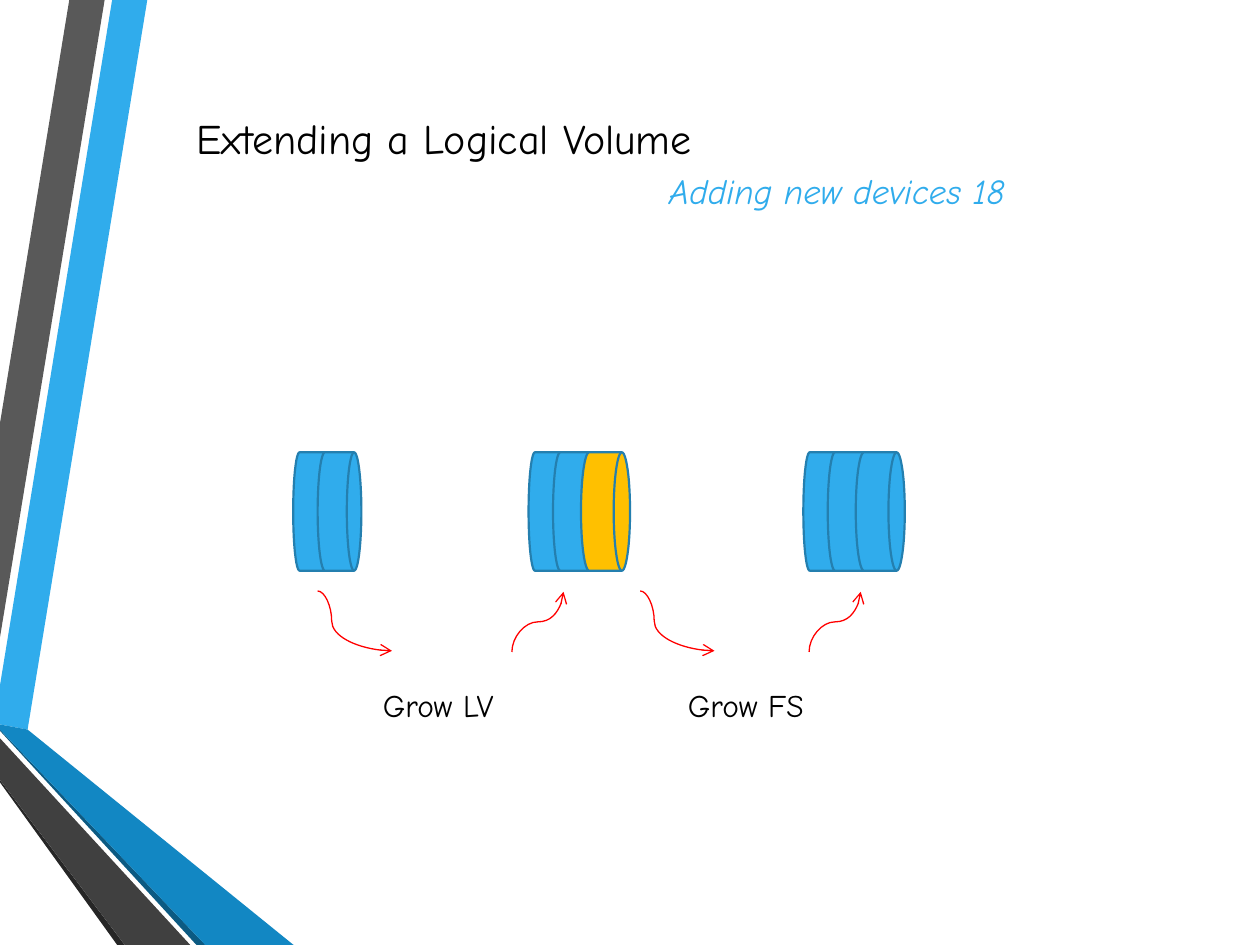
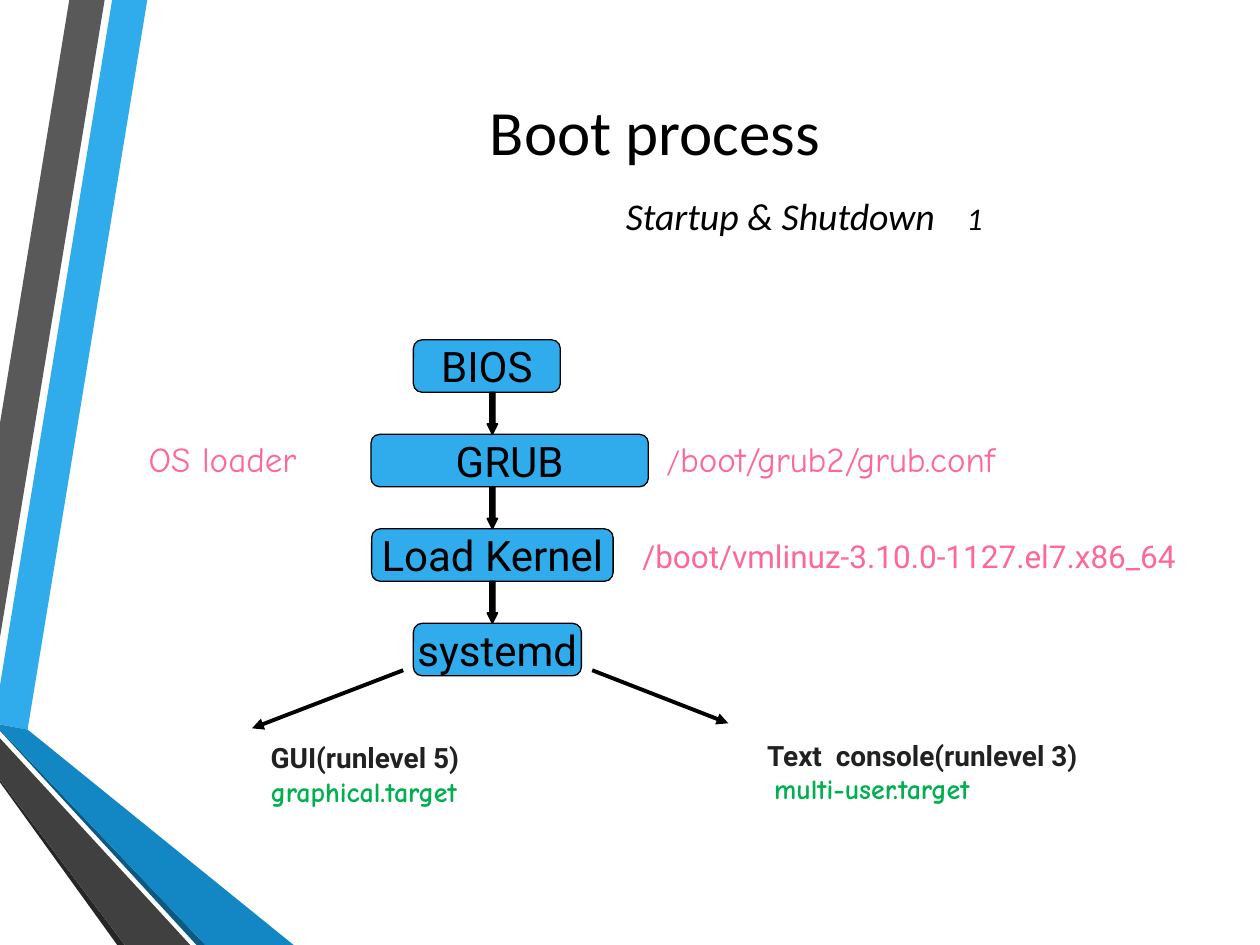
from dataclasses import dataclass

from lxml import etree
from pptx import Presentation
from pptx.dml.color import RGBColor
from pptx.enum.shapes import MSO_CONNECTOR, MSO_SHAPE
from pptx.enum.text import MSO_ANCHOR, MSO_AUTO_SIZE, PP_ALIGN
from pptx.oxml.ns import qn
from pptx.util import Pt

LEFT, CENTER = PP_ALIGN.LEFT, PP_ALIGN.CENTER
TOP, MIDDLE = MSO_ANCHOR.TOP, MSO_ANCHOR.MIDDLE
NO_FIT = MSO_AUTO_SIZE.NONE
DISK, ROUNDED, DOWN_ARROW = (MSO_SHAPE.FLOWCHART_MAGNETIC_DISK,
                             MSO_SHAPE.ROUNDED_RECTANGLE, MSO_SHAPE.DOWN_ARROW)
STRAIGHT, CURVE = MSO_CONNECTOR.STRAIGHT, MSO_CONNECTOR.CURVE


@dataclass(frozen=True)
class Theme:
    blue: str = "30ACEC"
    blue_edge: str = "247FAF"
    blue_dark: str = "1287C3"
    blue_deep: str = "0C5A82"
    gray: str = "595959"
    gray_dark: str = "404040"
    gray_deep: str = "262626"
    black: str = "000000"
    ink: str = "212121"
    red: str = "FF0000"
    yellow: str = "FFC000"
    pink: str = "FF6699"
    green: str = "00B050"
    hand: str = "Comic Neue"
    sans: str = "Roboto"
    plain: str = "Calibri"
    big: float = 36
    heading: float = 24
    subheading: float = 21.6
    note: float = 20
    label: float = 18
    small: float = 16


T = Theme()

# Page-edge bands as outlines in points, back to front
BANDS = [
    (T.blue, [(0, 391.7), (0, 414), (15.8, 416.9), (84.2, 0), (64.1, 0)]),
    (T.gray, [(59.8, 0), (39.6, 0), (0, 241.9), (0, 364.3)]),
    (T.gray_deep, [(0, 445.7), (0, 447.1), (67, 540), (71.3, 540)]),
    (T.blue_deep, [(0, 416.9), (0, 417.6), (112.3, 540), (117.4, 540)]),
    (T.blue_dark, [(0, 416.9), (117.4, 540), (167.8, 540), (15.8, 416.9), (0, 414)]),
    (T.gray_dark, [(0, 445.7), (71.3, 540), (108.7, 540), (0, 421.9)]),
]


def rgb(color):
    return RGBColor.from_string(color)


def add_text(frame, text, size=T.label, font=T.hand, color=T.black, bold=False,
             italic=False, align=LEFT, before=0, indent=0, right=0):
    """Add a paragraph; text is a string or (string, run overrides) pairs."""
    paragraph = frame.paragraphs[0]
    if paragraph.runs:
        paragraph = frame.add_paragraph()
    paragraph.alignment = align
    if before:
        paragraph.space_before = Pt(before)
    properties = paragraph._p.get_or_add_pPr()
    properties.set("marL", str(Pt(indent)))
    properties.set("marR", str(Pt(right)))
    base = dict(size=size, font=font, color=color, tracking=0)
    for words, changes in [(text, {})] if isinstance(text, str) else text:
        look = {**base, **changes}
        run = paragraph.add_run()
        run.text = words
        run.font.size = Pt(look["size"])
        run.font.name = look["font"]
        run.font.color.rgb = rgb(look["color"])
        run.font.bold, run.font.italic = bold, italic
        if look["tracking"]:
            run._r.get_or_add_rPr().set("spc", str(look["tracking"] * 100))


def paint(shape, fill, edge=None, width=0.75):
    shape.shadow.inherit = False
    shape.fill.solid()
    shape.fill.fore_color.rgb = rgb(fill)
    if edge:
        shape.line.color.rgb = rgb(edge)
        shape.line.width = Pt(width)
    else:
        shape.line.fill.background()


def add_arrow(slide, kind, start, end, color, width, head):
    arrow = slide.shapes.add_connector(kind, *map(Pt, (*start, *end)))
    arrow.line.color.rgb = rgb(color)
    arrow.line.width = Pt(width)
    properties = arrow._element.spPr
    etree.SubElement(properties.find(qn("a:ln")), qn("a:tailEnd"), type=head)
    etree.SubElement(properties, qn("a:effectLst"))
    return properties


def add_label(slide, left, top, width, height):
    frame = slide.shapes.add_textbox(*map(Pt, (left, top, width, height))).text_frame
    frame.word_wrap = True
    return frame


def start_slide(deck):
    slide = deck.slides.add_slide(deck.slide_layouts[5])
    for color, points in BANDS:
        corners = [(Pt(x), Pt(y)) for x, y in points]
        outline = slide.shapes.build_freeform(*corners[0], scale=1.0)
        outline.add_line_segments(corners[1:], close=True)
        paint(outline.convert_to_shape(), color)
    return slide


def place_title(slide, box, anchor):
    title = slide.shapes.title
    title.left, title.top, title.width, title.height = map(Pt, box)
    frame = title.text_frame
    frame.auto_size = NO_FIT
    frame.word_wrap = True
    frame.vertical_anchor = anchor
    return frame


# Extending a logical volume
def add_volume(slide, left, middle, colors):
    """Stack disks lying on their side, each a little thicker than the last."""
    length = 67.7
    for color, offset, thickness in zip(colors, (0, 14, 30), (22, 25, 28)):
        center = left + offset + thickness / 2
        disk = slide.shapes.add_shape(DISK, Pt(center - length / 2),
                                      Pt(middle - thickness / 2), Pt(length), Pt(thickness))
        disk.rotation = 90
        paint(disk, color, T.blue_edge, 1.25)


def add_growth_step(slide, left, top, rise_offset, label_offset, name):
    """Arrow down to the step's name, then arrow up to its result."""
    fall = add_arrow(slide, CURVE, (left, top), (left + 42.5, top + 34.2), T.red, 0.75, "arrow")
    guides = fall.find(qn("a:prstGeom")).find(qn("a:avLst"))
    etree.SubElement(guides, qn("a:gd"), name="adj1", fmla="val 18900")

    # The rising curve is laid flat, then turned a quarter
    width, height = 29.5, 34.4
    x, y = left + rise_offset + width / 2, top + 0.5 + height / 2
    rise = add_arrow(slide, CURVE, (x + height / 2, y + width / 2),
                     (x - height / 2, y - width / 2), T.red, 0.75, "arrow")
    rise.find(qn("a:xfrm")).set("rot", "5400000")

    add_text(add_label(slide, left + label_offset, top + 51, 92, 29), name)


def build_volume_slide(deck):
    slide = start_slide(deck)
    title = place_title(slide, (105, 60.5, 595.5, 65.5), TOP)
    add_text(title, "Extending a Logical Volume", size=T.heading)
    add_text(title, "Adding new devices 18", size=T.note, color=T.blue, italic=True,
             before=4, indent=270)

    for left, colors in [(167.5, [T.blue] * 2), (302, [T.blue, T.blue, T.yellow]),
                         (459, [T.blue] * 3)]:
        add_volume(slide, left, 292.3, colors)
    add_growth_step(slide, 181.5, 337.7, 111, 30.2, "Grow LV")
    add_growth_step(slide, 365.8, 337.7, 96.5, 20.2, "Grow FS")


# Boot process
def add_boot_chain(slide, top, axis, stages):
    height, pitch = 30, 54
    for row, (name, left, width) in enumerate(stages):
        y = top + row * pitch
        stage = slide.shapes.add_shape(ROUNDED, Pt(left), Pt(y), Pt(width), Pt(height))
        stage.adjustments[0] = 0.167
        paint(stage, T.blue, T.black)
        frame = stage.text_frame
        frame.margin_left = frame.margin_right = 0
        frame.word_wrap = False
        frame.vertical_anchor = MIDDLE
        add_text(frame, name, size=T.heading, font=T.sans, align=CENTER)
    for row in range(len(stages) - 1):
        arrow = slide.shapes.add_shape(DOWN_ARROW, Pt(axis - 3), Pt(top + row * pitch + height),
                                       Pt(6), Pt(pitch - height))
        arrow.adjustments[0], arrow.adjustments[1] = 0.5, 1
        paint(arrow, T.black, T.black)


def add_boot_target(slide, left, top, width, mode, target, indent=0):
    frame = add_label(slide, left, top, width, 65.5)
    add_text(frame, mode, size=T.small, font=T.sans, color=T.ink, bold=True)
    add_text(frame, target, size=T.small, color=T.green, bold=True, indent=indent)


def build_boot_slide(deck):
    slide = start_slide(deck)
    title = place_title(slide, (127.4, 44, 519, 101), MIDDLE)
    add_text(title, "Boot process", size=T.big, font=T.plain, align=CENTER, right=25)
    add_text(title, [("Startup & Shutdown", {}), (" ", {"size": T.label, "tracking": 14}),
                     ("1", {"size": T.label})],
             size=T.subheading, font=T.plain, italic=True, before=14, indent=223)

    add_boot_chain(slide, 194.2, 281.4, [("BIOS", 236.2, 84), ("GRUB", 212, 158.5),
                                         ("Load Kernel", 212.4, 138), ("systemd", 236.2, 96)])

    # Notes beside the stages
    add_text(add_label(slide, 77.8, 246.2, 124, 31), "OS loader", size=T.note, color=T.pink)
    add_text(add_label(slide, 373.7, 246.2, 244, 31),
             [("/", {"size": T.label}), ("boot/grub2/grub.conf", {})],
             size=T.note, color=T.pink)
    add_text(add_label(slide, 360, 303.1, 335, 29), "/boot/vmlinuz-3.10.0-1127.el7.x86_64",
             font=T.sans, color=T.pink)

    # Two targets that systemd can reach
    for start, end in [((338.4, 383), (416.2, 413.3)), ((230.4, 383), (144, 416.2))]:
        add_arrow(slide, STRAIGHT, start, end, T.black, 2.25, "triangle")
    add_boot_target(slide, 147.6, 419.8, 147, "GUI(runlevel 5)", "graphical.target")
    add_boot_target(slide, 431.3, 418.3, 217.5,
                    [("Text", {}), (" ", {"tracking": 4}), ("console(runlevel 3)", {})],
                    "multi-user.target", indent=4)


def main():
    deck = Presentation()
    deck.slide_width, deck.slide_height = Pt(720), Pt(540)
    build_volume_slide(deck)
    build_boot_slide(deck)
    deck.save("out.pptx")


if __name__ == "__main__":
    main()
